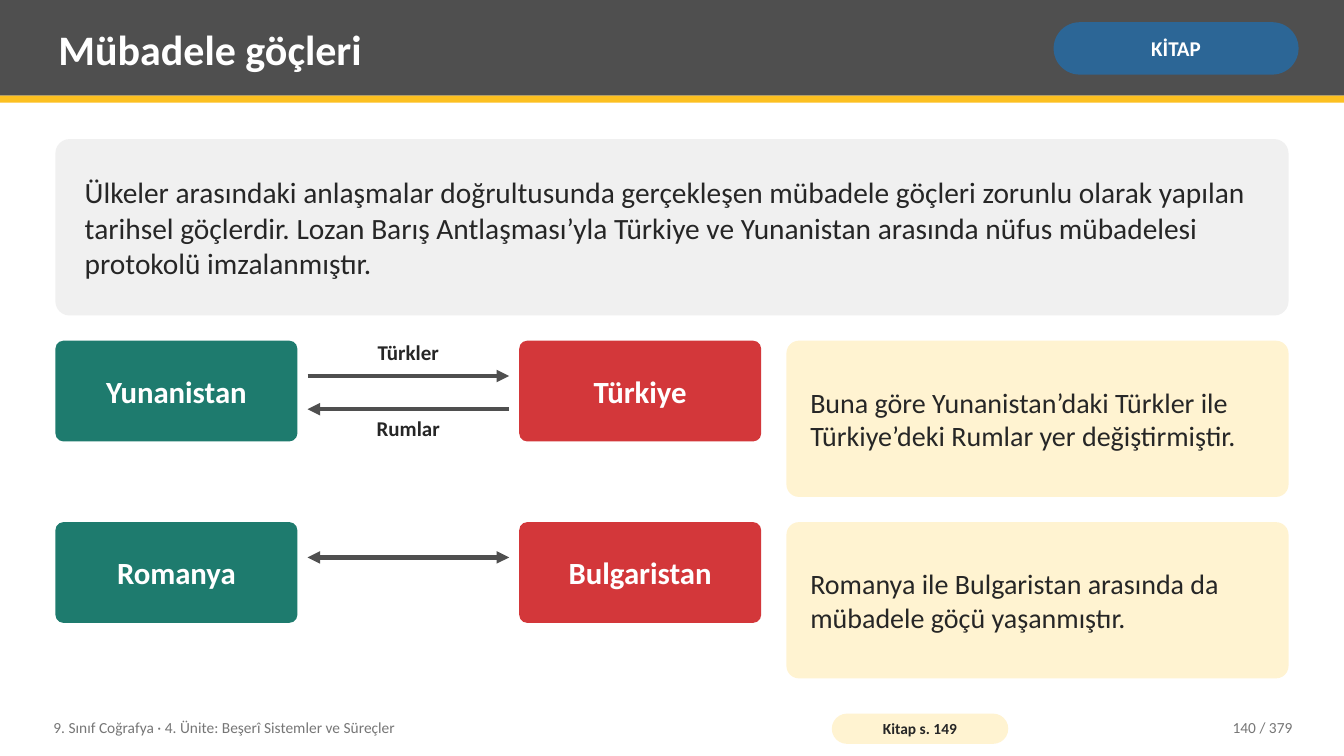
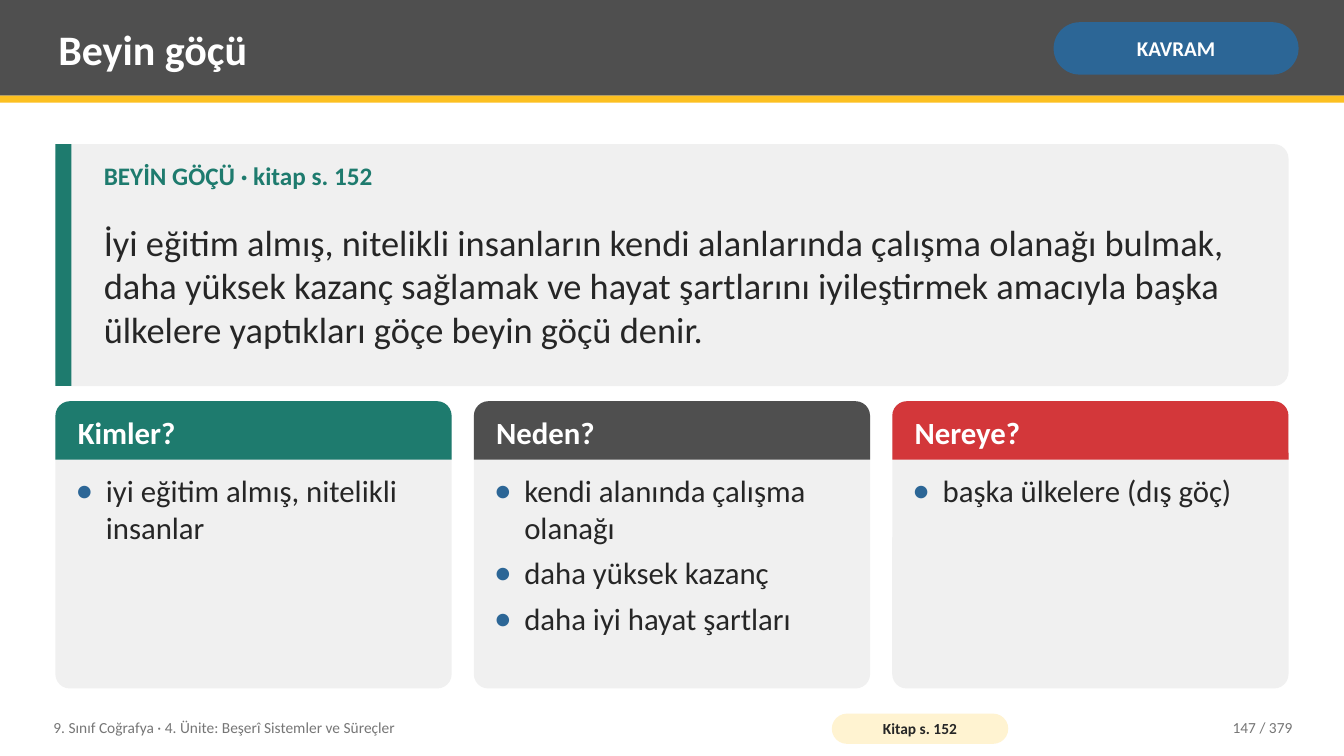
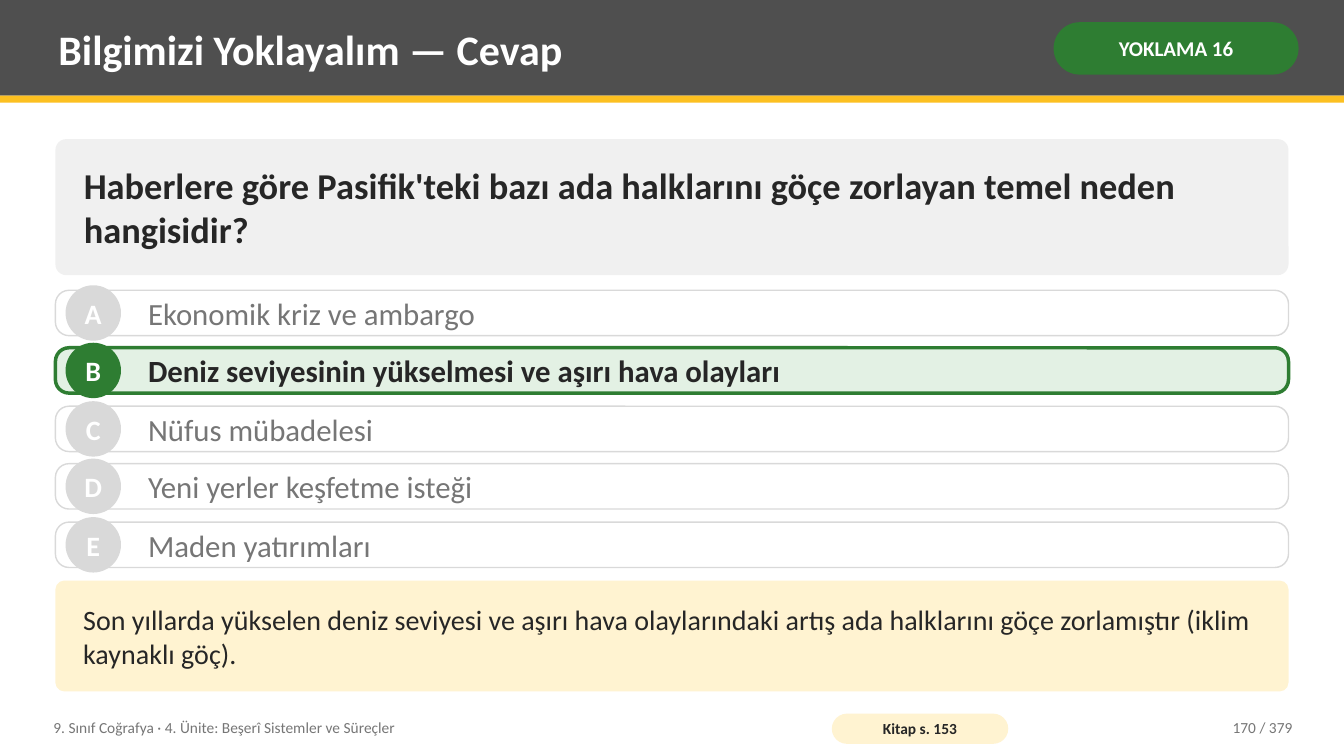
import pptx
import pptx.dml.color
import pptx.enum.shapes
import pptx.enum.text
import pptx.oxml.ns
import pptx.util
from lxml import etree

RGB = pptx.dml.color.RGBColor
SHAPE = pptx.enum.shapes.MSO_SHAPE
ALIGN = pptx.enum.text.PP_ALIGN
ANCHOR = pptx.enum.text.MSO_ANCHOR

DARK = RGB(0x4F, 0x4F, 0x4F)
YELLOW = RGB(0xFC, 0xC0, 0x21)
BLUE = RGB(0x2C, 0x66, 0x96)
TEAL = RGB(0x1E, 0x7B, 0x6E)
RED = RGB(0xD3, 0x37, 0x3A)
GREEN = RGB(0x2E, 0x7D, 0x32)
MINT = RGB(0xE3, 0xF1, 0xE4)
CREAM = RGB(0xFF, 0xF3, 0xD1)
PANEL = RGB(0xF0, 0xF0, 0xF0)
SILVER = RGB(0xD9, 0xD9, 0xD9)
GREY = RGB(0x76, 0x76, 0x76)
INK = RGB(0x26, 0x26, 0x26)
WHITE = RGB(0xFF, 0xFF, 0xFF)

FONT = "Calibri"
PX = 9144
WIDTH, HEIGHT = 1333, 750
LEFT, CONTENT = 55, 1223
UNIT = "9. Sınıf Coğrafya · 4. Ünite: Beşerî Sistemler ve Süreçler"
PAGES = 379
LAYOUT_TITLE_ONLY, LAYOUT_COMPARISON = 5, 4


def px(*lengths):
    """Turn px into EMU."""
    return [pptx.util.Emu(n * PX) for n in lengths]


def sub(parent, tag, **attrs):
    """Append a DrawingML element."""
    return etree.SubElement(parent, pptx.oxml.ns.qn(tag), attrs)


def frame(sp, inset, anchor):
    """Set wrapping, insets and anchor of a shape's text frame."""
    tf = sp.text_frame
    tf.word_wrap = True
    tf.auto_size = pptx.enum.text.MSO_AUTO_SIZE.NONE
    tf.vertical_anchor = anchor
    tf.margin_left, tf.margin_top, tf.margin_right, tf.margin_bottom = px(*inset)
    return tf


def add_run(p, text, size, color, bold=False):
    """Add one formatted run."""
    r = p.add_run()
    r.text = text
    r.font.name = FONT
    r.font.size = pptx.util.Pt(size)
    r.font.bold = bold
    r.font.color.rgb = color


def write(sp, text, size, color=INK, bold=False, align=ALIGN.LEFT,
          anchor=ANCHOR.MIDDLE, inset=(8, 4, 8, 4)):
    """Write a single paragraph into a shape."""
    p = frame(sp, inset, anchor).paragraphs[0]
    p.alignment = align
    add_run(p, text, size, color, bold)


def add_box(slide, at, fill, kind=SHAPE.RECTANGLE, adj=None, line=None):
    """Add a filled preset shape; line is a colour and a width in points."""
    sp = slide.shapes.add_shape(kind, *px(*at))
    sp.shadow.inherit = False
    sp.fill.solid()
    sp.fill.fore_color.rgb = fill
    if adj is not None:
        sp.adjustments[0] = adj
    if line:
        sp.line.color.rgb = line[0]
        sp.line.width = pptx.util.Pt(line[1])
    else:
        sp.line.fill.background()
    return sp


def add_round(slide, at, fill, adj=0.08, line=None):
    """Add a rounded rectangle."""
    return add_box(slide, at, fill, SHAPE.ROUNDED_RECTANGLE, adj, line)


def add_label(slide, at, text, size, **style):
    """Add a text box."""
    write(slide.shapes.add_textbox(*px(*at)), text, size, **style)


def add_pill(slide, at, fill, text, size, color):
    """Add a fully rounded tag with centred bold text."""
    write(add_round(slide, at, fill, 0.5), text, size, color, True,
          ALIGN.CENTER, inset=(4, 0, 4, 0))


def add_arrow(slide, x1, x2, y, both=False):
    """Add a horizontal arrow from x1 to x2."""
    cxn = slide.shapes.add_connector(
        pptx.enum.shapes.MSO_CONNECTOR.STRAIGHT, *px(x1, y, x2, y))
    cxn.line.color.rgb = DARK
    cxn.line.width = pptx.util.Pt(3)
    ln = cxn.line._get_or_add_ln()
    if both:
        sub(ln, "a:headEnd", type="triangle")
    sub(ln, "a:tailEnd", type="triangle")
    sub(cxn.element.spPr, "a:effectLst")


def place(sp, at):
    """Move a placeholder and bring it to the front."""
    sp.left, sp.top, sp.width, sp.height = px(*at)
    sp.element.getparent().append(sp.element)


def add_bullets(sp, at, items):
    """Fill a body placeholder with a bulleted list."""
    place(sp, at)
    tf = frame(sp, (8, 4, 8, 4), ANCHOR.TOP)
    for i, item in enumerate(items):
        p = tf.add_paragraph() if i else tf.paragraphs[0]
        pPr = p._p.get_or_add_pPr()
        pPr.set("marL", str(30 * PX))
        pPr.set("indent", str(-30 * PX))
        sub(sub(pPr, "a:buClr"), "a:srgbClr", val=str(BLUE))
        sub(pPr, "a:buSzPct", val="115000")
        sub(pPr, "a:buFont", typeface=FONT)
        sub(pPr, "a:buChar", char="•")
        p.alignment = ALIGN.LEFT
        p.space_before = pptx.util.Pt(0)
        p.space_after = pptx.util.Pt(6 if i < len(items) - 1 else 0)
        add_run(p, item, 22, INK)


def add_slide(prs, title, tag, book_page, number, tag_fill=BLUE,
              layout=LAYOUT_TITLE_ONLY):
    """Add a slide with the shared header band and footer."""
    slide = prs.slides.add_slide(prs.slide_layouts[layout])
    add_box(slide, (0, 0, WIDTH, 95), DARK)
    add_box(slide, (0, 95, WIDTH, 7), YELLOW)
    place(slide.shapes.title, (50, 7, 975, 82))
    write(slide.shapes.title, title, 30, WHITE, True)
    add_pill(slide, (1045, 22, 243, 52), tag_fill, tag, 15, WHITE)
    add_label(slide, (45, 704, 760, 36), UNIT, 11, color=GREY)
    add_pill(slide, (825, 708, 175, 30), CREAM, f"Kitap s. {book_page}", 11, INK)
    add_label(slide, (1130, 704, 160, 36), f"{number} / {PAGES}", 11,
              color=GREY, align=ALIGN.RIGHT)
    return slide


def add_exchange(slide, top, countries, note):
    """Add a pair of countries and the note beside them."""
    for x, fill, name in zip((LEFT, 515), (TEAL, RED), countries):
        write(add_round(slide, (x, top, 240, 100), fill), name, 22, WHITE, True,
              ALIGN.CENTER, inset=(14, 8, 14, 8))
    write(add_round(slide, (780, top, 498, 155), CREAM), note, 20,
          inset=(20, 8, 20, 8))


def add_exchange_slide(prs):
    """Build the slide on population exchange."""
    slide = add_slide(prs, "Mübadele göçleri", "KİTAP", 149, 140)
    write(add_round(slide, (LEFT, 138, CONTENT, 175), PANEL),
          "Ülkeler arasındaki anlaşmalar doğrultusunda gerçekleşen mübadele "
          "göçleri zorunlu olarak yapılan tarihsel göçlerdir. Lozan Barış "
          "Antlaşması’yla Türkiye ve Yunanistan arasında nüfus mübadelesi "
          "protokolü imzalanmıştır.", 21, inset=(25, 8, 25, 8))
    add_exchange(slide, 338, ("Yunanistan", "Türkiye"),
                 "Buna göre Yunanistan’daki Türkler ile Türkiye’deki Rumlar "
                 "yer değiştirmiştir.")
    add_exchange(slide, 518, ("Romanya", "Bulgaristan"),
                 "Romanya ile Bulgaristan arasında da mübadele göçü yaşanmıştır.")
    add_arrow(slide, 305, 505, 373)
    add_arrow(slide, 505, 305, 406)
    add_arrow(slide, 305, 505, 553, both=True)
    for y, people in ((333, "Türkler"), (408, "Rumlar")):
        add_label(slide, (305, y, 200, 37), people, 15, bold=True,
                  align=ALIGN.CENTER, anchor=ANCHOR.TOP)


def add_brain_drain_slide(prs):
    """Build the slide that defines brain drain."""
    slide = add_slide(prs, "Beyin göçü", "KAVRAM", 152, 147,
                      layout=LAYOUT_COMPARISON)
    add_round(slide, (LEFT, 143, CONTENT, 240), PANEL, 0.06)
    add_box(slide, (LEFT, 143, 16, 240), TEAL)
    add_label(slide, (95, 155, 1163, 45), "BEYİN GÖÇÜ · kitap s. 152", 18,
              color=TEAL, bold=True, anchor=ANCHOR.TOP)
    add_label(slide, (95, 198, 1163, 170),
              "İyi eğitim almış, nitelikli insanların kendi alanlarında çalışma "
              "olanağı bulmak, daha yüksek kazanç sağlamak ve hayat şartlarını "
              "iyileştirmek amacıyla başka ülkelere yaptıkları göçe beyin göçü "
              "denir.", 26)
    columns = (
        ("Kimler?", TEAL, ["iyi eğitim almış, nitelikli insanlar"]),
        ("Neden?", DARK, ["kendi alanında çalışma olanağı",
                          "daha yüksek kazanç", "daha iyi hayat şartları"]),
        ("Nereye?", RED, ["başka ülkelere (dış göç)"]),
    )
    *bodies, spare = list(slide.placeholders)[1:]
    spare.element.getparent().remove(spare.element)
    width, gap = 393, 22
    for i, (body, (heading, fill, items)) in enumerate(zip(bodies, columns)):
        x = LEFT + i * (width + gap)
        add_round(slide, (x, 398, width, 285), PANEL, 0.05)
        head = add_box(slide, (x, 398, width, 58), fill,
                       SHAPE.ROUND_2_SAME_RECTANGLE, 0.25)
        write(head, heading, 22, WHITE, True, inset=(18, 4, 18, 4))
        add_bullets(body, (x + 12, 464, width - 24, 211), items)


def add_option(slide, top, letter, text, correct):
    """Add one answer row with its letter badge."""
    accent = GREEN if correct else SILVER
    row = add_round(slide, (LEFT, top, CONTENT, 45), MINT if correct else WHITE,
                    0.3, (accent, 2.5 if correct else 1))
    write(row, text, 22, INK if correct else GREY, correct, inset=(88, 4, 28, 4))
    badge = add_box(slide, (65, top - 5, 55, 55), accent, SHAPE.OVAL)
    write(badge, letter, 20, WHITE, True, ALIGN.CENTER, inset=(0, 0, 0, 0))


def add_answer_slide(prs):
    """Build the quiz answer slide."""
    slide = add_slide(prs, "Bilgimizi Yoklayalım — Cevap", "YOKLAMA 16", 153, 170,
                      GREEN)
    write(add_round(slide, (LEFT, 138, CONTENT, 135), PANEL),
          "Haberlere göre Pasifik'teki bazı ada halklarını göçe zorlayan temel "
          "neden hangisidir?", 26, bold=True, inset=(25, 8, 25, 8))
    options = ("Ekonomik kriz ve ambargo",
               "Deniz seviyesinin yükselmesi ve aşırı hava olayları",
               "Nüfus mübadelesi", "Yeni yerler keşfetme isteği",
               "Maden yatırımları")
    for i, (letter, text) in enumerate(zip("ABCDE", options)):
        add_option(slide, 288 + i * 115 // 2, letter, text, letter == "B")
    write(add_round(slide, (LEFT, 576, CONTENT, 110), CREAM),
          "Son yıllarda yükselen deniz seviyesi ve aşırı hava olaylarındaki artış "
          "ada halklarını göçe zorlamıştır (iklim kaynaklı göç).", 20,
          inset=(25, 8, 25, 8))


def main():
    """Build and save the presentation."""
    prs = pptx.Presentation()
    prs.slide_width, prs.slide_height = px(WIDTH, HEIGHT)
    add_exchange_slide(prs)
    add_brain_drain_slide(prs)
    add_answer_slide(prs)
    prs.save("out.pptx")


if __name__ == "__main__":
    main()
